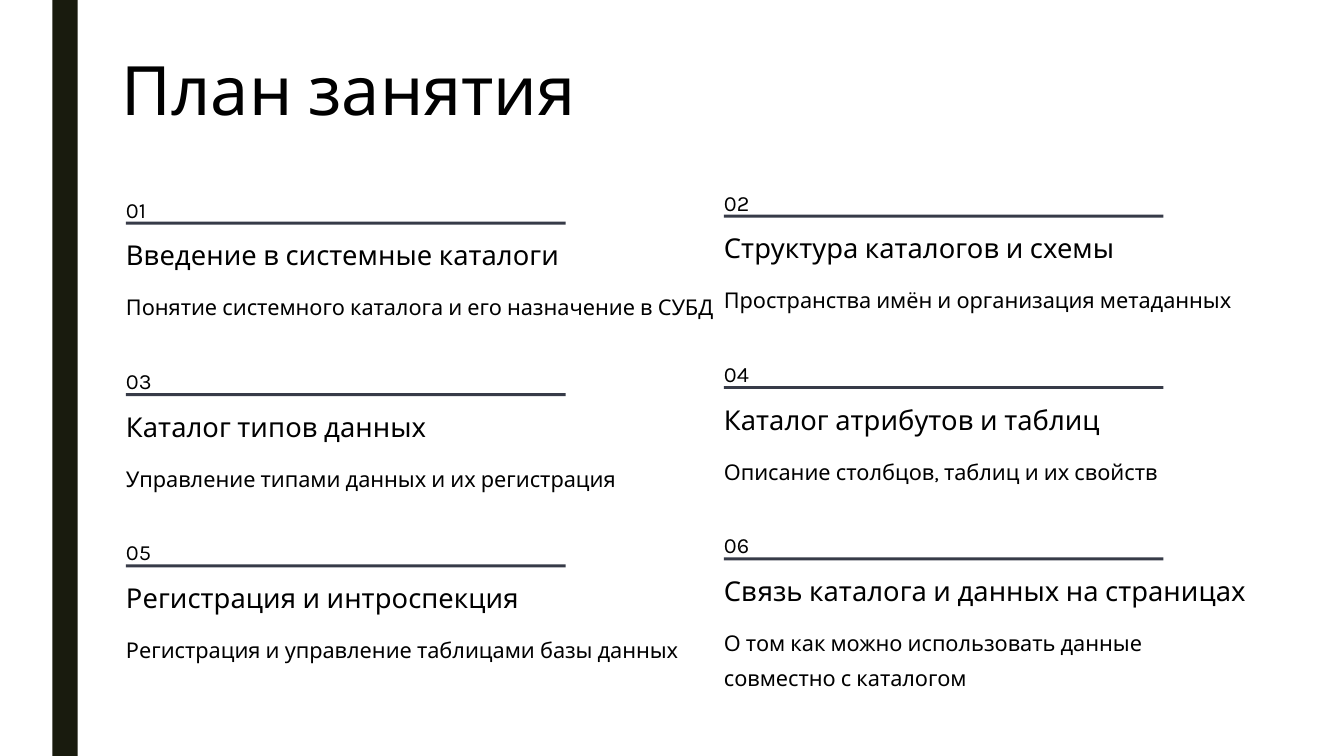
from pptx import Presentation
from pptx.dml.color import RGBColor
from pptx.enum.shapes import MSO_SHAPE
from pptx.enum.text import MSO_ANCHOR, PP_ALIGN
from pptx.util import Inches, Pt

RECTANGLE = MSO_SHAPE.RECTANGLE
TOP, MIDDLE = MSO_ANCHOR.TOP, MSO_ANCHOR.MIDDLE
LEFT = PP_ALIGN.LEFT

COLORS = {"band": "191B0E", "rule": "373B48", "text": "000000", "paper": "FFFFFF"}
FORMATS = {
    "title": {"size": Pt(48.6), "spacing": 0.89},
    "number": {"size": Pt(15.5), "spacing": Pt(25)},
    "heading": {"size": Pt(19.5), "spacing": Pt(24)},
    "detail": {"size": Pt(15.5), "spacing": Pt(25)},
}
COLUMNS = [(1.25, 1.86), (7.18, 1.79)]
ROW_PITCH = 1.7
RULE_WIDTH = 4.36
NUMBER_WIDTH = 0.4
TEXT_WIDTH = 5.9
LINE_HEIGHT = 0.35

TOPICS = [
    ("Введение в системные каталоги",
     ["Понятие системного каталога и его назначение в СУБД"]),
    ("Структура каталогов и схемы",
     ["Пространства имён и организация метаданных"]),
    ("Каталог типов данных",
     ["Управление типами данных и их регистрация"]),
    ("Каталог атрибутов и таблиц",
     ["Описание столбцов, таблиц и их свойств"]),
    ("Регистрация и интроспекция",
     ["Регистрация и управление таблицами базы данных"]),
    ("Связь каталога и данных на страницах",
     ["О том как можно использовать данные", "совместно с каталогом"]),
]


class PlanSlide:
    def __init__(self, presentation):
        self.font_name = "Karla"
        self.slide = presentation.slides.add_slide(presentation.slide_layouts[6])
        background = self.slide.background.fill
        background.solid()
        background.fore_color.rgb = self.color("paper")

    def color(self, key):
        return RGBColor.from_string(COLORS[key])

    def bar(self, left, top, width, height, color):
        bar = self.slide.shapes.add_shape(
            RECTANGLE, Inches(left), Inches(top), Inches(width), Inches(height))
        bar.shadow.inherit = False
        bar.fill.solid()
        bar.fill.fore_color.rgb = self.color(color)
        bar.line.fill.background()

    def text(self, left, top, width, height, lines, style,
             anchor=TOP, inset=(0, 0)):
        box = self.slide.shapes.add_textbox(
            Inches(left), Inches(top), Inches(width), Inches(height))
        frame = box.text_frame
        side, edge = map(Inches, inset)
        frame_format = {
            "word_wrap": True, "vertical_anchor": anchor,
            "margin_left": side, "margin_right": side,
            "margin_top": edge, "margin_bottom": edge,
        }
        for name, value in frame_format.items():
            setattr(frame, name, value)
        frame.text = "\n".join(lines)
        font_format = {"name": self.font_name, "size": FORMATS[style]["size"]}
        for paragraph in frame.paragraphs:
            paragraph.alignment = LEFT
            paragraph.line_spacing = FORMATS[style]["spacing"]
            for run in paragraph.runs:
                for name, value in font_format.items():
                    setattr(run.font, name, value)
                run.font.color.rgb = self.color("text")

    def topic(self, index, heading, details):
        row, column = divmod(index, len(COLUMNS))
        left, first_top = COLUMNS[column]
        top = first_top + row * ROW_PITCH
        self.text(left, top, NUMBER_WIDTH, 0.27, [f"{index + 1:02d}"], "number")
        self.bar(left, top + 0.34, RULE_WIDTH, 0.03, "rule")
        self.text(left, top + 0.5, TEXT_WIDTH, 0.34, [heading], "heading")
        self.text(left, top + 0.97, TEXT_WIDTH, LINE_HEIGHT * len(details),
                  details, "detail")


def main():
    presentation = Presentation()
    presentation.slide_width = Inches(13.33)
    presentation.slide_height = Inches(7.5)
    plan = PlanSlide(presentation)
    plan.bar(0.52, 0, 0.25, 7.5, "band")
    plan.text(1.11, 0.51, 4.72, 0.84, ["План занятия"], "title",
              anchor=MIDDLE, inset=(0.1, 0.05))
    for index, topic in enumerate(TOPICS):
        plan.topic(index, *topic)
    presentation.save("out.pptx")


if __name__ == "__main__":
    main()
